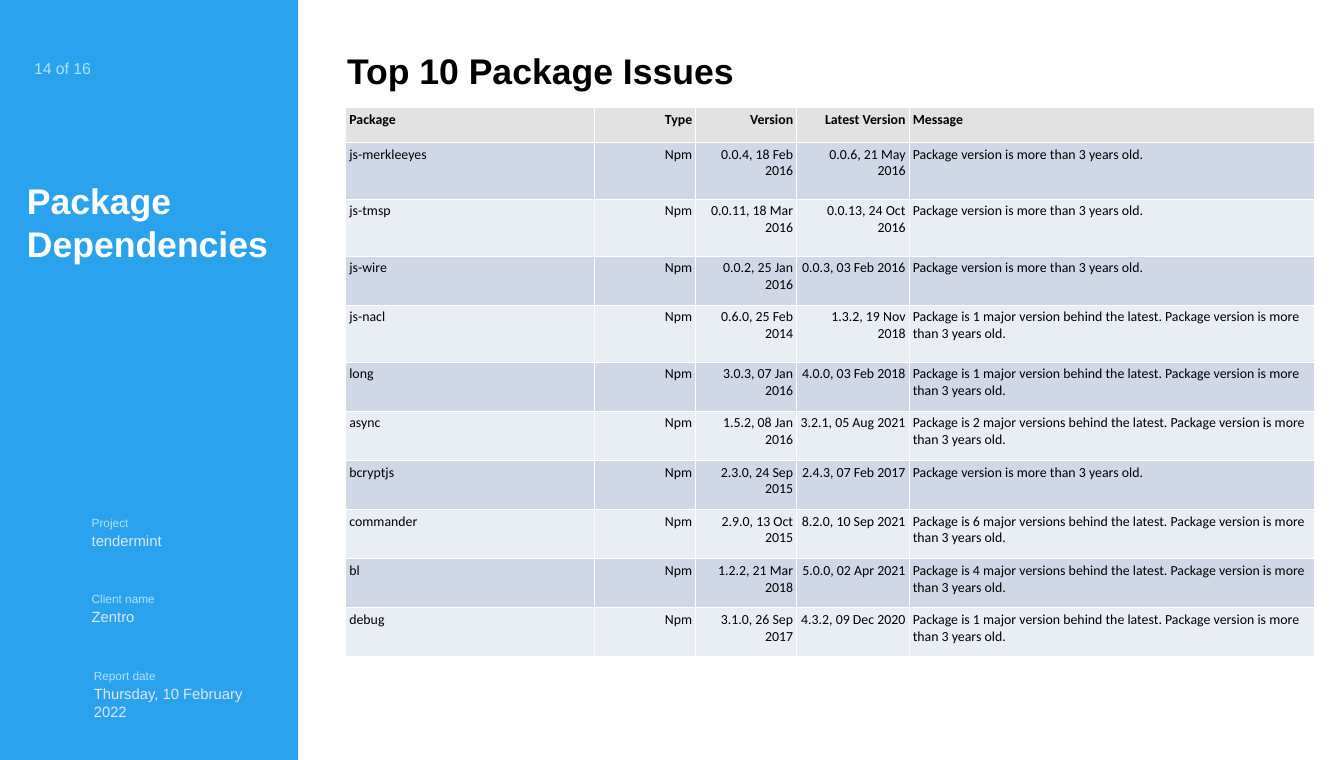
from lxml.etree import SubElement as Sub
from pptx import Presentation
from pptx.dml.color import RGBColor as RGB
from pptx.enum.shapes import MSO_SHAPE as Kind
from pptx.enum.text import PP_ALIGN as Align
from pptx.oxml.ns import qn
from pptx.util import Inches, Pt

BLUE = RGB(0x2A, 0xA2, 0xEE)
SKY = RGB(0xAD, 0xE1, 0xFF)
PALE = RGB(0xDC, 0xE6, 0xF2)
WHITE = RGB(0xFF, 0xFF, 0xFF)
BLACK = RGB(0, 0, 0)
GREY = RGB(0xE2, 0xE2, 0xE2)
BANDS = RGB(0xE9, 0xED, 0xF4), RGB(0xD0, 0xD8, 0xE8)

OLD = "Package version is more than 3 years old."
LATE = "Package is {} behind the latest. " + OLD
ONE = LATE.format("1 major version")
MANY = LATE.format("{} major versions")

HEAD = ["Package", "Type", "Version", "Latest Version", "Message"]
ISSUES = [
    ("js-merkleeyes", "0.0.4, 18 Feb 2016", "0.0.6, 21 May 2016", OLD),
    ("js-tmsp", "0.0.11, 18 Mar 2016", "0.0.13, 24 Oct 2016", OLD),
    ("js-wire", "0.0.2, 25 Jan 2016", "0.0.3, 03 Feb 2016", OLD),
    ("js-nacl", "0.6.0, 25 Feb 2014", "1.3.2, 19 Nov 2018", ONE),
    ("long", "3.0.3, 07 Jan 2016", "4.0.0, 03 Feb 2018", ONE),
    ("async", "1.5.2, 08 Jan 2016", "3.2.1, 05 Aug 2021", MANY.format(2)),
    ("bcryptjs", "2.3.0, 24 Sep 2015", "2.4.3, 07 Feb 2017", OLD),
    ("commander", "2.9.0, 13 Oct 2015", "8.2.0, 10 Sep 2021", MANY.format(6)),
    ("bl", "1.2.2, 21 Mar 2018", "5.0.0, 02 Apr 2021", MANY.format(4)),
    ("debug", "3.1.0, 26 Sep 2017", "4.3.2, 09 Dec 2020", ONE),
]
WIDTHS = [3.5, 1.42, 1.42, 1.58, 5.69]
HEIGHTS = [0.49, 0.8, 0.8, 0.69, 0.8] + [0.69] * 6
ALIGNS = [Align.LEFT] + [Align.RIGHT] * 3 + [Align.LEFT]
FACTS = [
    (1.19, 7.2, "Project", "tendermint"),
    (1.19, 8.27, "Client name", "Zentro"),
    (1.22, 9.35, "Report date", "Thursday, 10 February 2022"),
]


class Page:
    font = "Arial"
    cell_font = "Calibri"
    cell_size = 14
    inset = Inches(0.05)

    def __init__(self, deck):
        self.slide = deck.slides.add_slide(deck.slide_layouts[6])
        self.shapes = self.slide.shapes

    def words(self, para, text, size, color, bold=False, font=None):
        run = para.add_run()
        run.text = text
        run.font.name = font or self.font
        run.font.size = Pt(size)
        run.font.bold = bold
        run.font.color.rgb = color

    def panel(self, x, y, w, h, color):
        box = self.shapes.add_shape(
            Kind.RECTANGLE, Inches(x), Inches(y), Inches(w), Inches(h))
        box.shadow.inherit = False
        box.fill.solid()
        box.fill.fore_color.rgb = color
        box.line.fill.background()

    def text(self, x, y, w, h, lines, size, color, bold=False, space=None):
        frame = self.shapes.add_textbox(
            Inches(x), Inches(y), Inches(w), Inches(h)).text_frame
        frame.word_wrap = True
        for i, line in enumerate(lines):
            para = frame.add_paragraph() if i else frame.paragraphs[0]
            para.line_spacing = space
            self.words(para, line, size, color, bold)

    def edge(self, cell):
        props = cell._tc.get_or_add_tcPr()
        for i, side in enumerate(("a:lnL", "a:lnR", "a:lnT", "a:lnB")):
            line = props.makeelement(qn(side), {"w": str(Pt(1))})
            fill = Sub(line, qn("a:solidFill"))
            Sub(fill, qn("a:srgbClr"), val=str(WHITE))
            props.insert(i, line)

    def cell(self, cell, text, align, fill, bold):
        cell.margin_left = cell.margin_right = self.inset
        cell.margin_top = cell.margin_bottom = self.inset
        cell.fill.solid()
        cell.fill.fore_color.rgb = fill
        self.edge(cell)
        para = cell.text_frame.paragraphs[0]
        para.alignment = align
        self.words(para, text, self.cell_size, BLACK, bold, self.cell_font)

    def table(self, x, y, rows):
        grid = self.shapes.add_table(
            len(rows), len(WIDTHS), Inches(x), Inches(y),
            Inches(sum(WIDTHS)), Inches(sum(HEIGHTS))).table
        for col, width in zip(grid.columns, WIDTHS):
            col.width = Inches(width)
        for r, row in enumerate(rows):
            grid.rows[r].height = Inches(HEIGHTS[r])
            fill = BANDS[r % 2] if r else GREY
            for c, text in enumerate(row):
                self.cell(grid.cell(r, c), text, ALIGNS[c], fill, r == 0)


def main():
    deck = Presentation()
    deck.slide_width = Inches(18.89)
    deck.slide_height = Inches(10.68)
    page = Page(deck)

    # Side panel with the report facts
    page.panel(-0.06, 0, 4.25, 10.69, BLUE)
    for x, y, label, value in FACTS:
        page.text(x, y, 1.97, 0.3, [label], 12, SKY)
        page.text(x, y + 0.22, 2.5, 0.35, [value], 15, PALE)

    # Table of issues
    rows = [HEAD] + [(name, "Npm", *rest) for name, *rest in ISSUES]
    page.table(4.86, 1.51, rows)

    # Page number and titles
    page.text(0.38, 0.77, 1.97, 0.37, ["14 of 16"], 16, SKY)
    page.text(0.28, 2.47, 3.67, 1.31, ["Package", "Dependencies"],
              36, WHITE, True)
    page.text(4.78, 0.34, 10.83, 0.9, ["Top 10 Package Issues"],
              36, BLACK, True, 1.5)

    deck.save("out.pptx")


if __name__ == "__main__":
    main()
